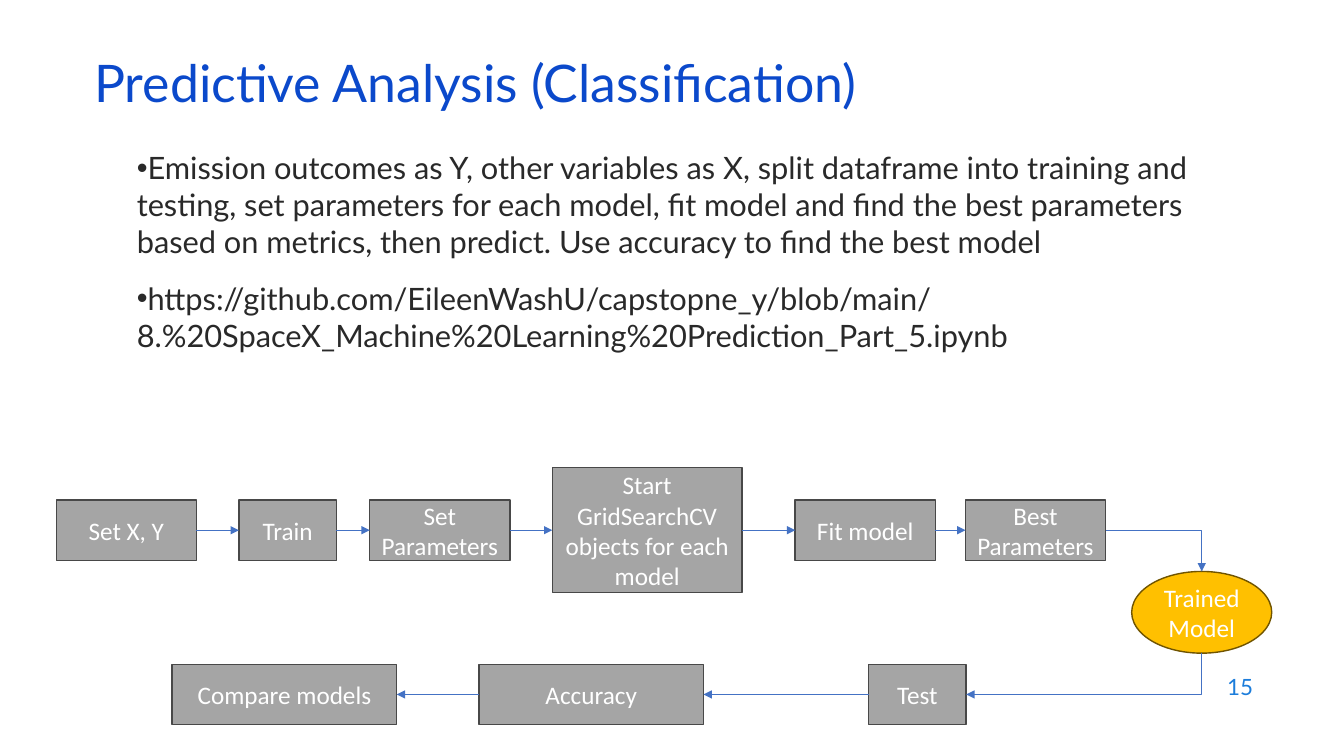
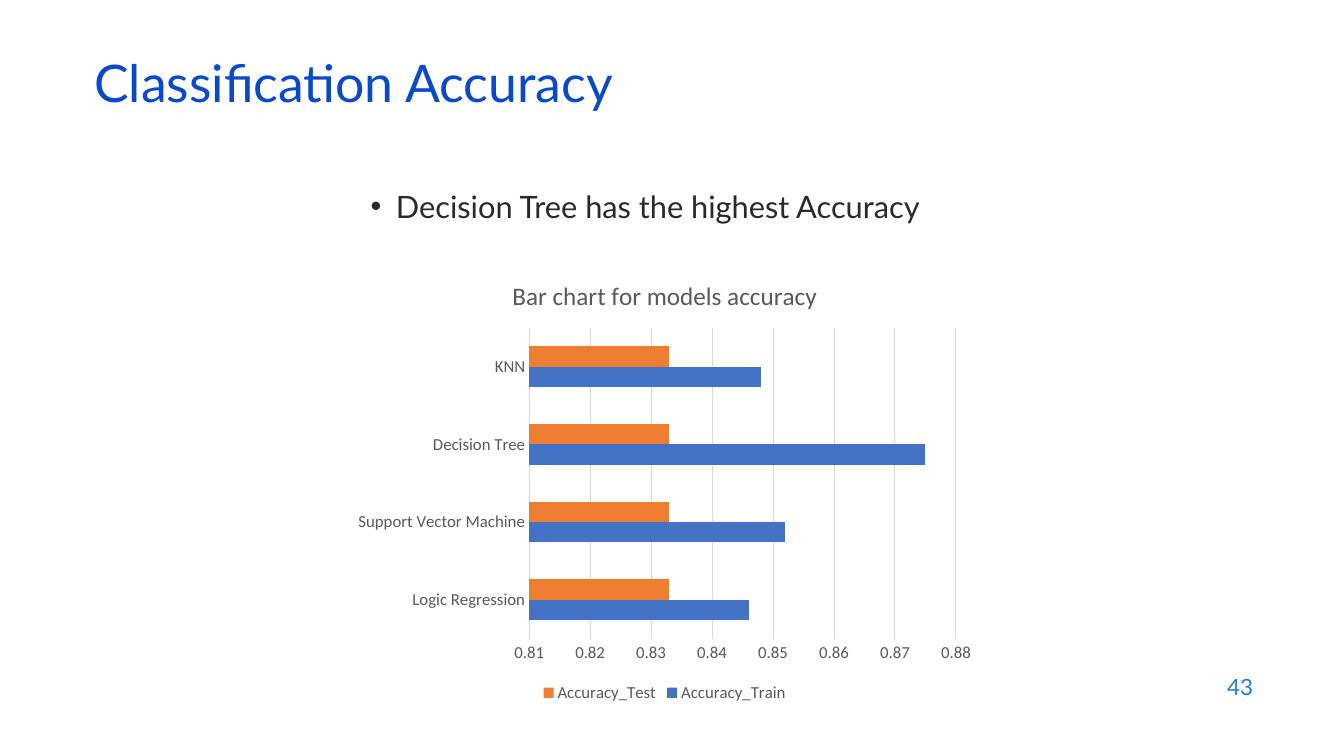
from lxml.etree import SubElement as Sub
from pptx import Presentation
from pptx.chart.data import CategoryChartData as ChartData
from pptx.dml.color import RGBColor
from pptx.enum.chart import XL_CHART_TYPE as Kind, XL_LEGEND_POSITION as Place
from pptx.enum.chart import XL_TICK_MARK as Tick
from pptx.enum.shapes import MSO_CONNECTOR as Wire, MSO_SHAPE as Form
from pptx.enum.text import MSO_ANCHOR as Anchor, PP_ALIGN as Align
from pptx.oxml.ns import qn
from pptx.util import Cm, Pt

HEAD, NUM, INK = "0B49CB", "1C7DDB", "292929"
BLUE, ORANGE, GOLD, BROWN = "4472C4", "ED7D31", "FFC000", "705400"
GREY, EDGE, SOFT, RULE, WHITE = "A5A5A5", "484848", "595959", "D9D9D9", "FFFFFF"
LATO, CALIBRI = "Lato", "Calibri"

FLOW = {
    "title": "Predictive Analysis (Classification)",
    "num": "15",
    "area": (3.2, 3.63, 27.08, 6.71),
    "hang": 0,
    "points": [
        "Emission outcomes as Y, other variables as X, split dataframe into "
        "training and testing, set parameters for each model, fit model and "
        "find the best parameters based on metrics, then predict. Use accuracy "
        "to find the best model",
        "https://github.com/EileenWashU/capstopne_y/blob/main/"
        "8.%20SpaceX_Machine%20Learning%20Prediction_Part_5.ipynb",
    ],
}
SCORES = {
    "title": "Classification Accuracy",
    "num": "43",
    "area": (9.09, 4.6, 14.78, 10.59),
    "hang": 0.64,
    "points": ["Decision Tree has the highest Accuracy"],
}

# text, left, width, height in cm, in the order of the flow
ROW_H = 1.52
TRAIN_Y, TEST_Y = 13.36, 17.5
TRAIN = [
    ("Set X, Y", 1.42, 3.53, ROW_H),
    ("Train", 6.02, 2.46, ROW_H),
    ("Set Parameters", 9.32, 3.53, ROW_H),
    ("Start GridSearchCV objects for each model", 13.92, 4.78, 3.15),
    ("Fit model", 20.04, 3.53, ROW_H),
    ("Best Parameters", 24.33, 3.53, ROW_H),
]
MODEL = ("Trained Model", 28.52, 3.53, 2.06)
TEST = [
    ("Test", 21.89, 2.46, ROW_H),
    ("Accuracy", 12.07, 5.66, ROW_H),
    ("Compare models", 4.34, 5.66, ROW_H),
]
TOP, LEFT, RIGHT = 0, 1, 3
OVAL_END = "4"

CHART_AT = (8.71, 6.53, 16.08, 11.28)
CHART_HEAD = "Bar chart for models accuracy"
NAMES = ["Logic Regression", "Support Vector Machine", "Decision Tree", "KNN"]
SERIES = [
    ("Accuracy_Train", (0.846, 0.852, 0.875, 0.848), BLUE),
    ("Accuracy_Test", (0.833, 0.833, 0.833, 0.833), ORANGE),
]


def rgb(code):
    return RGBColor.from_string(code)


def style(font, size, color, face=CALIBRI):
    font.size, font.name, font.bold = Pt(size), face, False
    font.color.rgb = rgb(color)


def write(slide, area, lines, size, color, anchor=Anchor.MIDDLE):
    """Add a Lato text box and return its paragraphs."""
    frame = slide.shapes.add_textbox(*map(Cm, area)).text_frame
    frame.word_wrap, frame.vertical_anchor = True, anchor
    frame.text = "\n".join(lines)
    for para in frame.paragraphs:
        for run in para.runs:
            style(run.font, size, color, LATO)
    return frame.paragraphs


def bullet(para, hang):
    props = para._p.get_or_add_pPr()
    props.set("marL", str(Cm(hang)))
    props.set("indent", str(-Cm(hang)))
    Sub(props, qn("a:buFont"), typeface="Arial")
    Sub(props, qn("a:buChar"), char="•")


def start(deck, page):
    """Add a slide with its title, number and bullets."""
    slide = deck.slides.add_slide(deck.slide_layouts[6])
    write(slide, (24.21, 16.74, 7.62, 1.12), [page["num"]], 16, NUM)[0].alignment = Align.RIGHT
    paras = write(slide, page["area"], page["points"], 22, INK, Anchor.TOP)
    for i, para in enumerate(paras):
        bullet(para, page["hang"])
        if i:
            para.space_before = Pt(14)
    write(slide, (2.13, 1.5, 29.21, 1.52), [page["title"]], 37, HEAD)[0].line_spacing = 0.7
    return slide


def node(slide, step, mid, form=Form.RECTANGLE, fill=GREY, edge=EDGE):
    """Draw one step, centred on the height mid."""
    text, left, wide, high = step
    box = slide.shapes.add_shape(form, *map(Cm, (left, mid - high / 2, wide, high)))
    box.shadow.inherit = False
    box.fill.solid()
    box.fill.fore_color.rgb = rgb(fill)
    box.line.color.rgb, box.line.width = rgb(edge), Pt(1)
    frame = box.text_frame
    frame.word_wrap, frame.vertical_anchor = True, Anchor.MIDDLE
    frame.text = text
    para = frame.paragraphs[0]
    para.alignment = Align.CENTER
    style(para.runs[0].font, 18, WHITE)
    return box


def link(slide, a, out, b, into, wire=Wire.STRAIGHT):
    """Join site out of a to site into of b with an arrow."""
    line = slide.shapes.add_connector(wire, 0, 0, 0, 0)
    line.begin_connect(a, out)
    line.end_connect(b, into)
    line.line.color.rgb, line.line.width = rgb(BLUE), Pt(0.5)
    props = line._element.spPr
    Sub(props.find(qn("a:ln")), qn("a:tailEnd"), type="triangle")
    Sub(props, qn("a:effectLst"))
    return line


def corner(line, ends, turn=False):
    """Give a connector one bend; turn makes it leave downwards and go left."""
    x1, y1, x2, y2 = map(Cm, ends)
    wide, high = abs(x2 - x1), abs(y2 - y1)
    if turn:
        wide, high = high, wide
    props = line._element.spPr
    props.find(qn("a:prstGeom")).set("prst", "bentConnector2")
    frame = props.find(qn("a:xfrm"))
    for flip in ("flipH", "flipV"):
        frame.attrib.pop(flip, None)
    if turn:
        frame.set("rot", "5400000")
    line.left, line.top = (x1 + x2 - wide) // 2, (y1 + y2 - high) // 2
    line.width, line.height = wide, high


def flow(slide):
    top = [node(slide, step, TRAIN_Y) for step in TRAIN]
    low = [node(slide, step, TEST_Y) for step in TEST]
    mid_y = (TRAIN_Y + TEST_Y) / 2
    model = node(slide, MODEL, mid_y, Form.OVAL, GOLD, BROWN)
    for row, out, into in ((top, RIGHT, LEFT), (low, LEFT, RIGHT)):
        for a, b in zip(row, row[1:]):
            link(slide, a, out, b, into)
    _, left, wide, high = MODEL
    mid_x = left + wide / 2
    best, test = (step[1] + step[2] for step in (TRAIN[-1], TEST[0]))
    down = link(slide, top[-1], RIGHT, model, TOP, Wire.ELBOW)
    corner(down, (best, TRAIN_Y, mid_x, mid_y - high / 2))
    back = link(slide, model, TOP, low[0], RIGHT, Wire.ELBOW)
    # begin_connect knows four sites only; the foot of an oval is a later one
    next(back._element.iter(qn("a:stCxn"))).set("idx", OVAL_END)
    corner(back, (mid_x, mid_y + high / 2, test, TEST_Y), True)


def bars(slide):
    data = ChartData(number_format="0.00")
    data.categories = NAMES
    for name, vals, _ in SERIES:
        data.add_series(name, vals)
    chart = slide.shapes.add_chart(Kind.BAR_CLUSTERED, *map(Cm, CHART_AT), data).chart
    style(chart.font, 12, SOFT)
    chart.has_title = True
    chart.chart_title.include_in_layout = False
    frame = chart.chart_title.text_frame
    frame.text = CHART_HEAD
    style(frame.paragraphs[0].runs[0].font, 18, SOFT)
    chart.has_legend = True
    chart.legend.position = Place.BOTTOM
    chart.legend.include_in_layout = False
    style(chart.legend.font, 12, SOFT)

    plot = chart.plots[0]
    plot.gap_width, plot.overlap, plot.vary_by_categories = 182, 0, False
    for series, (_, _, color) in zip(plot.series, SERIES):
        series.format.fill.solid()
        series.format.fill.fore_color.rgb = rgb(color)

    cats, vals = chart.category_axis, chart.value_axis
    for axis in (cats, vals):
        axis.major_tick_mark = axis.minor_tick_mark = Tick.NONE
        style(axis.tick_labels.font, 12, SOFT)
    vals.minimum_scale, vals.maximum_scale, vals.major_unit = 0.81, 0.88, 0.01
    vals.has_major_gridlines = True
    vals.format.line.fill.background()
    for rule in (cats.format.line, vals.major_gridlines.format.line):
        rule.color.rgb, rule.width = rgb(RULE), Pt(0.75)


def main():
    deck = Presentation()
    deck.slide_width, deck.slide_height = Cm(33.87), Cm(19.05)
    flow(start(deck, FLOW))
    bars(start(deck, SCORES))
    deck.save("out.pptx")


if __name__ == "__main__":
    main()
